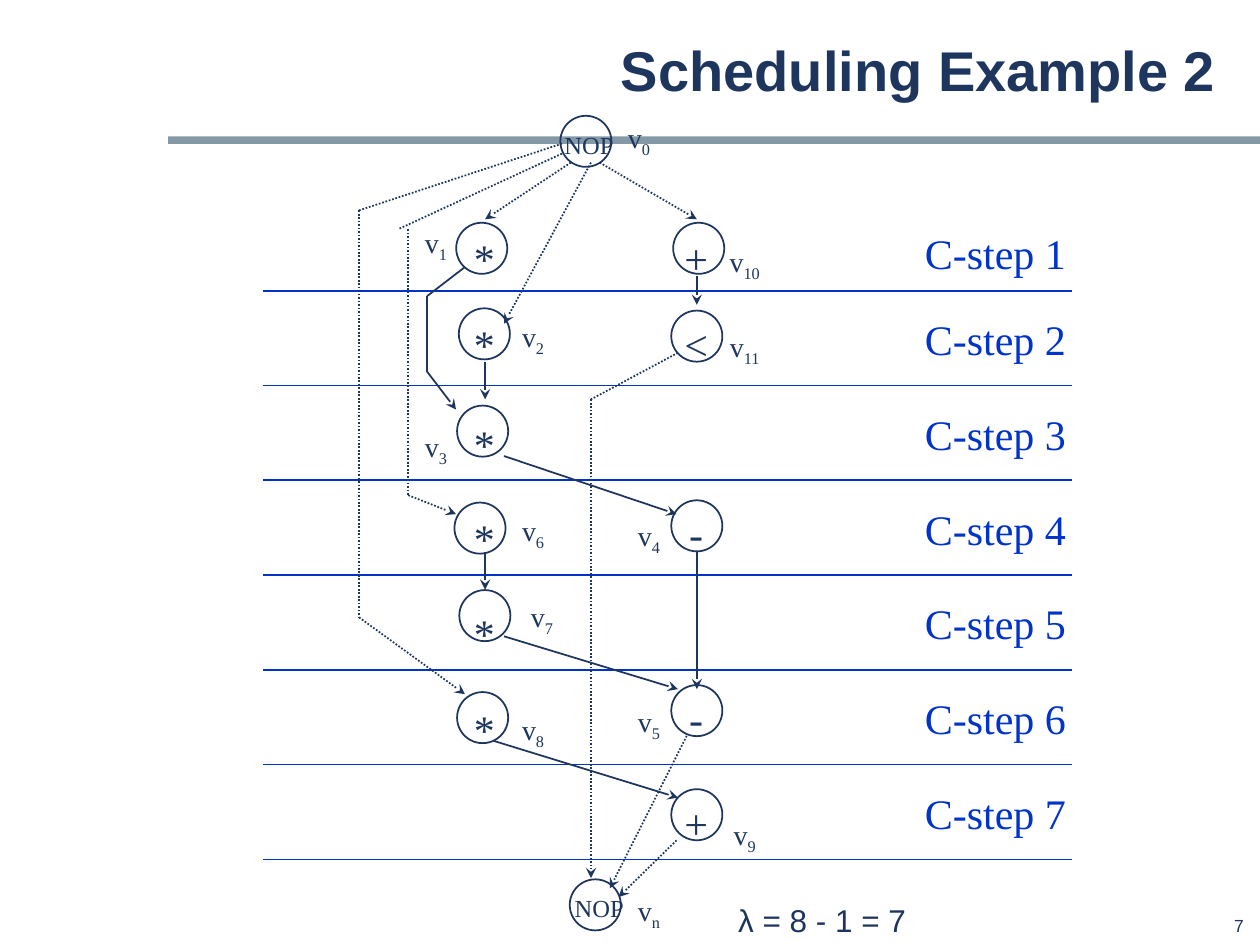
"""Build the Scheduling Example 2 slide: a sequencing graph over seven control steps."""
from itertools import pairwise

from lxml.etree import SubElement
from pptx import Presentation
from pptx.dml.color import RGBColor
from pptx.enum.dml import MSO_LINE
from pptx.enum.shapes import MSO_CONNECTOR, MSO_SHAPE
from pptx.enum.text import MSO_ANCHOR, PP_ALIGN
from pptx.oxml.ns import qn
from pptx.util import Pt

NAVY, BLUE, GREY = "1E355E", "0033CC", "8499A5"
SERIF, SANS = "Times New Roman", "Arial"
color = RGBColor.from_string

presentation = Presentation()
presentation.slide_width, presentation.slide_height = Pt(720), Pt(540)
slide = presentation.slides.add_slide(presentation.slide_layouts[6])


def add_text(text, left, top, width, height, size, font=SERIF, ink=NAVY,
             align=PP_ALIGN.CENTER, subscript=""):
    box = slide.shapes.add_textbox(Pt(left), Pt(top), Pt(width), Pt(height))
    box.text_frame.word_wrap = False
    paragraph = box.text_frame.paragraphs[0]
    paragraph.alignment = align
    paragraph.font.size, paragraph.font.name = Pt(size), font
    paragraph.font.color.rgb = color(ink)
    paragraph.add_run().text = text
    if subscript:
        run = paragraph.add_run()
        run.text = subscript
        run.font._element.set("baseline", "-25000")
    return box


def add_line(start, end, ink=NAVY, dotted=False, arrow=False):
    line = slide.shapes.add_connector(
        MSO_CONNECTOR.STRAIGHT, *(Pt(value) for value in (*start, *end)))
    line.line.color.rgb, line.line.width = color(ink), Pt(1)
    if dotted:
        line.line.dash_style = MSO_LINE.ROUND_DOT
    if arrow:
        SubElement(line.line._get_or_add_ln(), qn("a:tailEnd"), type="stealth")
    SubElement(line._element.spPr, qn("a:effectLst"))


bar = slide.shapes.add_shape(MSO_SHAPE.RECTANGLE, Pt(96), Pt(78), Pt(624), Pt(4.3))
bar.shadow.inherit = False
bar.fill.solid()
bar.fill.fore_color.rgb = color(GREY)
bar.line.fill.background()

title = add_text("Scheduling Example 2", 96, 12.2, 606, 60, 32, SANS, align=PP_ALIGN.RIGHT)
title.text_frame.word_wrap = True
title.text_frame.vertical_anchor = MSO_ANCHOR.MIDDLE
title.text_frame.paragraphs[0].font.bold = True
title.text_frame.paragraphs[0].line_spacing = 0.88
add_text("7", 671, 519.1, 46.8, 18.7, 10, SANS, align=PP_ALIGN.RIGHT)

STEP_TOP, STEP_HEIGHT = 166.2, 54.15
for step in range(7):
    line_y = STEP_TOP + step * STEP_HEIGHT
    add_line((150.3, line_y), (612.6, line_y), BLUE)
    label_top = line_y - STEP_HEIGHT + 9.5 if step else 126.7
    add_text(f"C-step {step + 1}", 521.3, label_top, 95, 36, 24, ink=BLUE)

MULTIPLY_X, ALU_X = 276.8, 397.8
nodes = [
    ("0", "NOP", (320.2, 66.2), (336.6, 70.6), (351.4, 65.5)),
    ("1", "*", (260.7, 127.3), (MULTIPLY_X, 129.6), (235.4, 125.3)),
    ("2", "*", (262.2, 176.2), (MULTIPLY_X, 178.6), (290.9, 179.3)),
    ("3", "*", (261.2, 231.8), (MULTIPLY_X, 235.4), (235.4, 241.9)),
    ("6", "*", (259.7, 287.2), (MULTIPLY_X, 289.4), (290.9, 290.2)),
    ("7", "*", (262.5, 337.2), (MULTIPLY_X, 343.4), (295.9, 339.1)),
    ("8", "*", (261.2, 395.5), (MULTIPLY_X, 398.2), (290.9, 403.9)),
    ("10", "+", (384.7, 127.3), (ALU_X, 129.6), (409.7, 136.1)),
    ("11", "<", (383.6, 177.5), (ALU_X, 178.6), (409.7, 185)),
    ("4", "-", (383.6, 285.9), (ALU_X, 286.6), (357.1, 293)),
    ("5", "-", (383.6, 391.5), (ALU_X, 392.4), (357.1, 398.9)),
    ("9", "+", (383.6, 451), (ALU_X, 452.2), (411.8, 463.7)),
    ("n", "NOP", (325.6, 502.5), (342.4, 506.9), (357.1, 506.9)),
]
for name, operation, circle_at, (center_x, top), label_at in nodes:
    circle = slide.shapes.add_shape(
        MSO_SHAPE.OVAL, *(Pt(value) for value in circle_at), Pt(29.2), Pt(29.2))
    circle.shadow.inherit = False
    circle.fill.background()
    circle.line.color.rgb, circle.line.width = color(NAVY), Pt(1)
    width, height, size = (42.5, 24, 14) if operation == "NOP" else (28, 36, 24)
    add_text(operation, center_x - width / 2, top, width, height, size)
    add_text("v", *label_at, 23 + 4.4 * len(name), 28.8, 16, subscript=name)

solid_edges = [
    [(265.7, 152.6), (244.1, 169.2), (244.1, 212.4), (260.6, 234)],
    [(277.2, 206.6), (277.2, 228.2)],
    [(277.2, 315.4), (277.2, 337)],
    [(282.2, 423.4), (387.4, 455.8)],
    [(288, 260.6), (386.6, 293.8)],
    [(398.2, 315.4), (398.2, 393.8)],
    [(288, 363.6), (387.4, 393.8)],
    [(398.2, 157.7), (398.2, 174.2)],
]
dotted_edges = [
    [(321.1, 82.1), (205.2, 120.2), (205.2, 352.8), (265.7, 396.7)],
    [(326.2, 92.9), (277.2, 125.3)],
    [(337.7, 92.9), (288, 185)],
    [(342.7, 92.9), (398.2, 125.3)],
    [(233.3, 131), (233.3, 283), (260.6, 293.8)],
    [(387.4, 201.6), (337.7, 228.2), (337.7, 501.8)],
    [(392.4, 420.5), (348.5, 507.6)],
    [(386.6, 480.2), (353.5, 512.6)],
]
for edges, dotted in ((solid_edges, False), (dotted_edges, True)):
    for points in edges:
        for start, end in pairwise(points):
            add_line(start, end, dotted=dotted, arrow=end == points[-1])
add_line((321.1, 87.8), (227.5, 131), dotted=True)

add_text("λ = 8 - 1 = 7", 414, 511.2, 111.6, 28.8, 18, SANS)

presentation.save("out.pptx")
